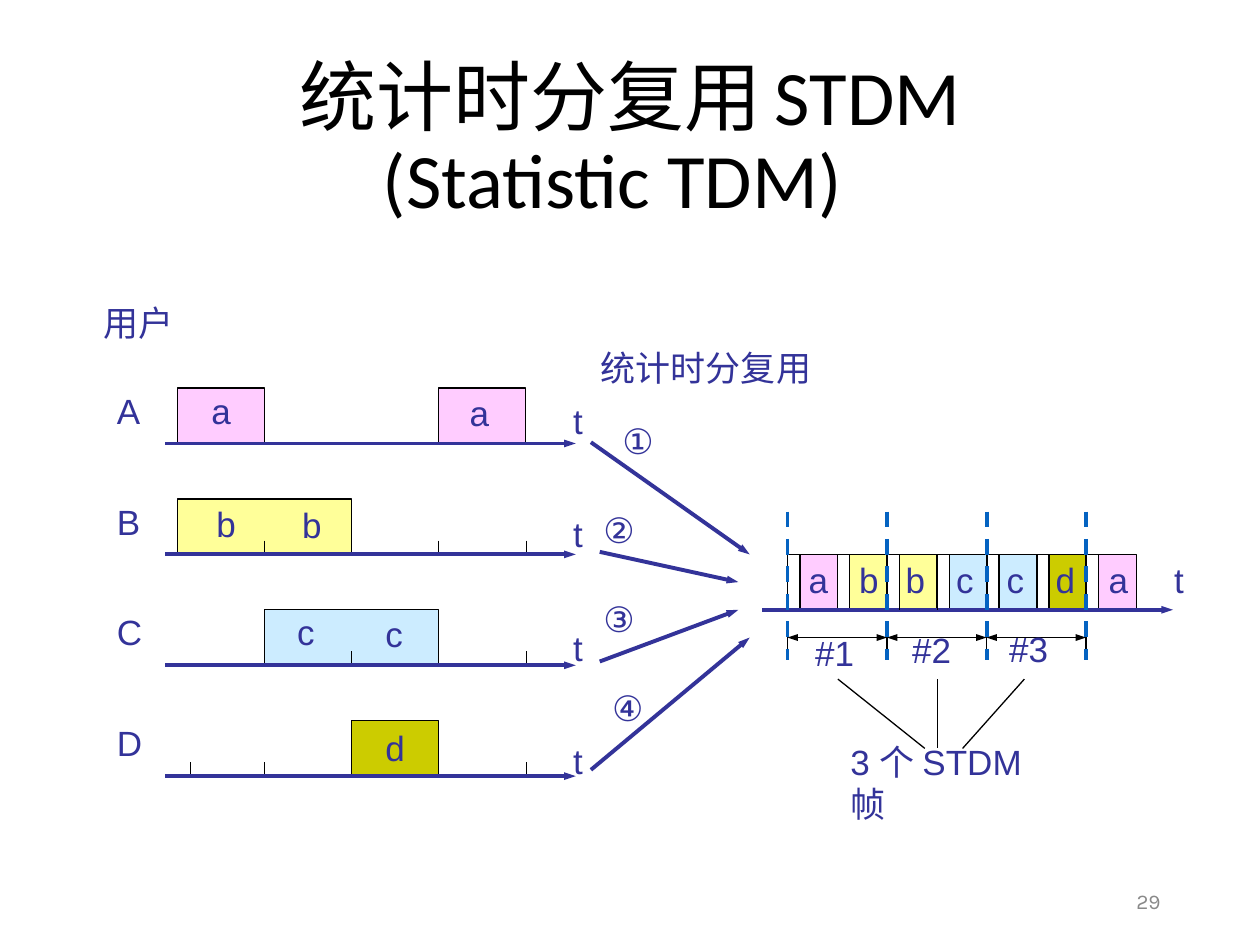
from lxml import etree
from pptx import Presentation
from pptx.dml.color import RGBColor
from pptx.enum import dml, shapes, text
from pptx.oxml.ns import qn
from pptx.util import Inches, Pt

COLORS = {
    "ink": "333399", "black": "000000", "frame": "0563C1", "number": "898989",
    "a": "FFCCFF", "b": "FFFF99", "c": "CCECFF", "d": "CCCC00",
}

# Time axes of the four users
AXIS_TOP, ROW_PITCH, BLOCK_HEIGHT = 3.52, 0.88, 0.44
SLOT_LEFT, SLOT_WIDTH, TICK = 1.41, 0.69, 0.11
# user, blocks as (data, first slot, slots), tick positions
USERS = [
    ("A", [("a", 0, 1), ("a", 3, 1)], []),
    ("B", [("b", 0, 2)], [2.1, 3.48, 4.18]),
    ("C", [("c", 1, 2)], [2.79, 4.18]),
    ("D", [("d", 2, 1)], [1.51, 2.1, 4.18]),
]

# Multiplexed axis: each frame holds two cells, each cell follows a gap
MUX_LEFT, MUX_TOP, MUX_BOTTOM = 6.25, 4.4, 4.84
FRAME_WIDTH, GAP, CELL_WIDTH, FRAMES = 0.79, 0.1, 0.3, 3
MUX_CELLS = "abbccda"
MUX_TICKS = [7.14, 7.44, 8.62]

INPUT_ARROWS = [
    (4.69, 3.51, 5.95, 4.4), (4.76, 4.38, 5.86, 4.62),
    (4.76, 5.25, 5.86, 4.84), (4.69, 6.11, 5.95, 5.06),
]
FRAME_POINTERS = [(6.65, 5.39, 7.34, 5.94), (7.44, 5.39, 7.44, 5.94), (8.13, 5.39, 7.64, 5.94)]

# text, left, top, width
LABELS = [
    ("用户", 0.72, 2.34, 0.76), ("统计时分复用", 4.67, 2.7, 1.87),
    ("a", 1.58, 3.04, 0.36), ("a", 3.63, 3.06, 0.36),
    ("b", 1.62, 3.94, 0.36), ("b", 2.3, 3.95, 0.36),
    ("c", 2.26, 4.8, 0.34), ("c", 2.96, 4.81, 0.34), ("d", 2.96, 5.72, 0.36),
    ("①", 4.84, 3.28, 0.48), ("②", 4.69, 3.99, 0.48),
    ("③", 4.69, 4.69, 0.48), ("④", 4.76, 5.4, 0.48),
    ("t", 9.22, 4.38, 0.28),
    ("#1", 6.37, 4.96, 0.51), ("#2", 7.14, 4.94, 0.51), ("#3", 7.91, 4.93, 0.51),
]
MUX_LABEL_LEFTS = [6.32, 6.72, 7.09, 7.49, 7.89, 8.28, 8.7]

TITLE = [
    ([("统计时分复用", 44), (" ", 32), ("STDM", 44)], 0),
    ([("(Statistic TDM)", 44)], 0.28),  # runs, right indent
]

presentation = Presentation()
presentation.slide_width, presentation.slide_height = Inches(10), Inches(7.5)
slide = presentation.slides.add_slide(presentation.slide_layouts[6])


def color(name):
    return RGBColor.from_string(COLORS[name])


def add_text_box(left, top, width, height, wrap=True, anchor=text.MSO_ANCHOR.TOP):
    box = slide.shapes.add_textbox(Inches(left), Inches(top), Inches(width), Inches(height))
    box.text_frame.word_wrap = wrap
    box.text_frame.vertical_anchor = anchor
    return box.text_frame


def add_run(paragraph, words, size, font="Arial", ink="ink"):
    run = paragraph.add_run()
    run.text = words
    run.font.name, run.font.size = font, Pt(size)
    run.font.color.rgb = color(ink)


def add_label(words, left, top, width, wrap=False):
    frame = add_text_box(left, top, width, 0.43, wrap)
    add_run(frame.paragraphs[0], words, 20)


def add_line(x1, y1, x2, y2, ink="black", weight=0.75, heads=(), dash=None):
    """heads lists the arrowheads: headEnd at the start, tailEnd at the end."""
    line = slide.shapes.add_connector(
        shapes.MSO_CONNECTOR.STRAIGHT, Inches(x1), Inches(y1), Inches(x2), Inches(y2))
    line.line.color.rgb = color(ink)
    line.line.width = Pt(weight)
    if dash:
        line.line.dash_style = dash
    properties = line.line._get_or_add_ln()
    for head in heads:
        etree.SubElement(properties, qn("a:" + head), type="triangle", w="sm", len="med")
    etree.SubElement(line._element.spPr, qn("a:effectLst"))


def add_arrow(x1, y1, x2, y2):
    add_line(x1, y1, x2, y2, "ink", 2.25, ["tailEnd"])


def add_pulse(left, bottom, width, fill=None):
    """Outline of a block that is open along the time axis."""
    right, top = left + width, bottom - BLOCK_HEIGHT
    builder = slide.shapes.build_freeform(Inches(left), Inches(bottom))
    corners = [(left, top), (right, top), (right, bottom)]
    builder.add_line_segments([(Inches(x), Inches(y)) for x, y in corners], close=False)
    shape = builder.convert_to_shape()
    shape.shadow.inherit = False
    if fill:
        shape.fill.solid()
        shape.fill.fore_color.rgb = color(fill)
    else:
        shape.fill.background()
    shape.line.color.rgb = color("black")
    shape.line.width = Pt(0.75)


def add_title():
    frame = add_text_box(0.69, 0.4, 8.62, 1.45, anchor=text.MSO_ANCHOR.MIDDLE)
    for index, (runs, indent) in enumerate(TITLE):
        paragraph = frame.add_paragraph() if index else frame.paragraphs[0]
        paragraph.alignment = text.PP_ALIGN.CENTER
        paragraph.line_spacing = 0.9
        paragraph._p.get_or_add_pPr().set("marR", str(Inches(indent)))
        for words, size in runs:
            add_run(paragraph, words, size, "Calibri", "black")


def add_users():
    for row, (user, blocks, ticks) in enumerate(USERS):
        axis = AXIS_TOP + row * ROW_PITCH
        for data, slot, slots in blocks:
            add_pulse(SLOT_LEFT + slot * SLOT_WIDTH, axis, slots * SLOT_WIDTH, data)
        for x in ticks:
            add_line(x, axis - TICK, x, axis)
        add_arrow(1.31, axis, 4.57, axis)
        add_label(user, 0.83, axis - 0.48, 0.4)
        add_label("t", 4.45, 3.12 + row * 0.9, 0.28)


def add_multiplex():
    for index, data in enumerate(MUX_CELLS):
        left = MUX_LEFT + index * FRAME_WIDTH / 2
        add_pulse(left + GAP, MUX_BOTTOM, CELL_WIDTH, data)
        add_pulse(left, MUX_BOTTOM, GAP)
    add_arrow(6.05, MUX_BOTTOM, 9.31, MUX_BOTTOM)
    for x in MUX_TICKS:
        add_line(x, MUX_BOTTOM - TICK, x, MUX_BOTTOM)
    for data, left in zip(MUX_CELLS, MUX_LABEL_LEFTS):
        add_label(data, left, 4.38, 0.36)
    for index in range(FRAMES + 1):
        x = MUX_LEFT + index * FRAME_WIDTH
        add_line(x, 4.95, x, 5.17)
        if index < FRAMES:
            add_line(x, 5.06, x + FRAME_WIDTH, 5.06, heads=["headEnd", "tailEnd"])
        add_line(x, 4.06, x, 5.24, "frame", 2.25, dash=dml.MSO_LINE.DASH)


add_title()
add_users()
add_multiplex()
for ends in INPUT_ARROWS:
    add_arrow(*ends)
for ends in FRAME_POINTERS:
    add_line(*ends)
for label in LABELS:
    add_label(*label)
add_label("3 个 STDM 帧", 6.65, 5.83, 1.72, wrap=True)

number = add_text_box(7.06, 6.95, 2.25, 0.4, anchor=text.MSO_ANCHOR.MIDDLE).paragraphs[0]
number.alignment = text.PP_ALIGN.RIGHT
add_run(number, "29", 12, "Karla", "number")

presentation.save("out.pptx")
